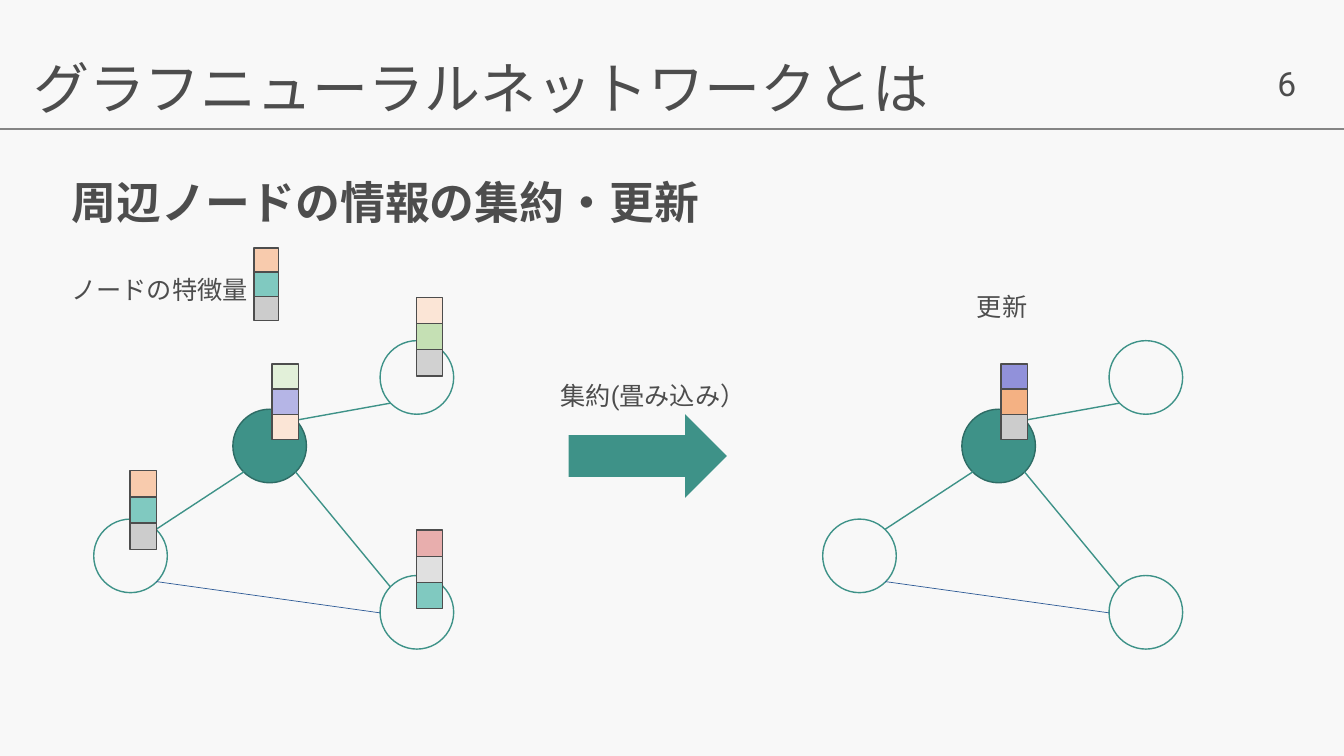
from pptx import Presentation
from pptx.dml.color import RGBColor
from pptx.enum import shapes, text
from pptx.oxml.ns import qn
from pptx.util import Inches, Pt
from lxml import etree

# Content
HUE = {"back": "F8F8F8", "ink": "4D4D4D", "rule": "858585", "teal": "3E9288",
       "deep": "2E6C65", "blue": "2E5B96", "mint": "80C9C0", "peach": "F8CBAD",
       "cream": "FBE5D6", "gray": "CCCCCC", "silver": "D1D1D1", "pale": "E0E0E0",
       "leaf": "E2F0D9", "green": "C5E0B4", "lilac": "B5B5E6", "violet": "9191DA",
       "rose": "E8AEAD", "orange": "F4B183"}
CJK, LATIN = "Noto Sans CJK JP", "Roboto"
TITLE = "グラフニューラルネットワークとは"
HEAD = "周辺ノードの情報の集約・更新"

# Node corners, with fill and outline
NODES = [(0.93, 5.15, "back", "teal"), (2.31, 4.06, "teal", "deep"),
         (3.77, 3.38, "back", "teal"), (3.77, 5.71, "back", "teal")]
EDGES = [(2.93, 4.68, 3.87, 5.82, "teal", 1), (2.93, 4.17, 3.87, 4, "teal", 1),
         (2.42, 4.68, 1.55, 5.25, "teal", 1), (1.55, 5.77, 3.77, 6.08, "blue", 0.5)]
# Feature stacks: left, top, cell width, cell height, colours
BEFORE = [(2.7, 3.61, 0.26, 0.25, ("leaf", "lilac", "cream")),
          (4.13, 2.95, 0.26, 0.26, ("cream", "green", "silver")),
          (4.13, 5.26, 0.26, 0.26, ("rose", "pale", "mint")),
          (1.29, 4.67, 0.26, 0.26, ("peach", "mint", "gray"))]
AFTER = [(2.7, 3.61, 0.26, 0.25, ("violet", "orange", "gray"))]
LEGEND = (2.52, 2.46, 0.24, 0.24, ("peach", "mint", "gray"))
DIAM = 0.73
SHIFT = 7.23

deck = Presentation()
deck.slide_width, deck.slide_height = Inches(13.33), Inches(7.5)
slide = deck.slides.add_slide(deck.slide_layouts[6])


def tint(name):
    return RGBColor.from_string(HUE[name])


slide.background.fill.solid()
slide.background.fill.fore_color.rgb = tint("back")


def write(words, x, y, w, h, size=18, font=LATIN, bold=False, wrap=False,
          mid=False, grow=True, lead=None, before=None):
    frame = slide.shapes.add_textbox(*map(Inches, (x, y, w, h))).text_frame
    frame.word_wrap = wrap
    kind = text.MSO_AUTO_SIZE
    frame.auto_size = kind.SHAPE_TO_FIT_TEXT if grow else kind.NONE
    side = text.MSO_ANCHOR
    frame.vertical_anchor = side.MIDDLE if mid else side.TOP
    para = frame.paragraphs[0]
    if lead:
        para.line_spacing = lead
    if before:
        para.space_before = Pt(before)
    run = para.add_run()
    run.text = words
    run.font.size, run.font.bold, run.font.name = Pt(size), bold, font
    run.font.color.rgb = tint("ink")
    east = etree.SubElement(run.font._element, qn("a:ea"))
    east.set("typeface", CJK)


def draw(kind, x, y, w, h, fill, edge=None):
    shape = slide.shapes.add_shape(kind, *map(Inches, (x, y, w, h)))
    shape.shadow.inherit = False
    shape.fill.solid()
    shape.fill.fore_color.rgb = tint(fill)
    if edge:
        shape.line.color.rgb = tint(edge)
        shape.line.width = Pt(1)
    else:
        shape.line.fill.background()


def link(x1, y1, x2, y2, hue, width):
    line = slide.shapes.add_connector(shapes.MSO_CONNECTOR.STRAIGHT,
                                      *map(Inches, (x1, y1, x2, y2)))
    line.line.color.rgb = tint(hue)
    line.line.width = Pt(width)
    etree.SubElement(line._element.spPr, qn("a:effectLst"))


def stack(x, y, w, h, hues):
    for row, hue in enumerate(hues):
        draw(shapes.MSO_SHAPE.RECTANGLE, x, y + row * h, w, h, hue, "ink")


def graph(dx, stacks):
    for x, y, fill, edge in NODES:
        draw(shapes.MSO_SHAPE.OVAL, x + dx, y, DIAM, DIAM, fill, edge)
    for x1, y1, x2, y2, hue, width in EDGES:
        link(x1 + dx, y1, x2 + dx, y2, hue, width)
    for x, *rest in stacks:
        stack(x + dx, *rest)


# Header
write("6", 12.57, 0.58, 0.61, 0.5, size=24)
link(0, 1.28, 13.33, 1.28, "rule", 1)
write(HEAD, 0.61, 1.63, 12.14, 5.57, size=32, font=CJK, bold=True,
      wrap=True, grow=False, lead=1.1, before=18)
write(TITLE, 0.23, 0.38, 12.53, 0.9, size=40, font=CJK,
      wrap=True, mid=True, grow=False, lead=1.1, before=18)

# Step between the two graphs
draw(shapes.MSO_SHAPE.RIGHT_ARROW, 5.64, 4.11, 1.57, 0.83, "teal")
write("集約(畳み込み）", 5.46, 3.72, 2.06, 0.4, wrap=True)
write("更新", 9.59, 2.84, 0.71, 0.4)

# Graphs before and after the update
graph(0, BEFORE)
graph(SHIFT, AFTER)

# Legend
write("ノードの特徴量", 0.61, 2.67, 1.97, 0.4)
stack(*LEGEND)

deck.save("out.pptx")
